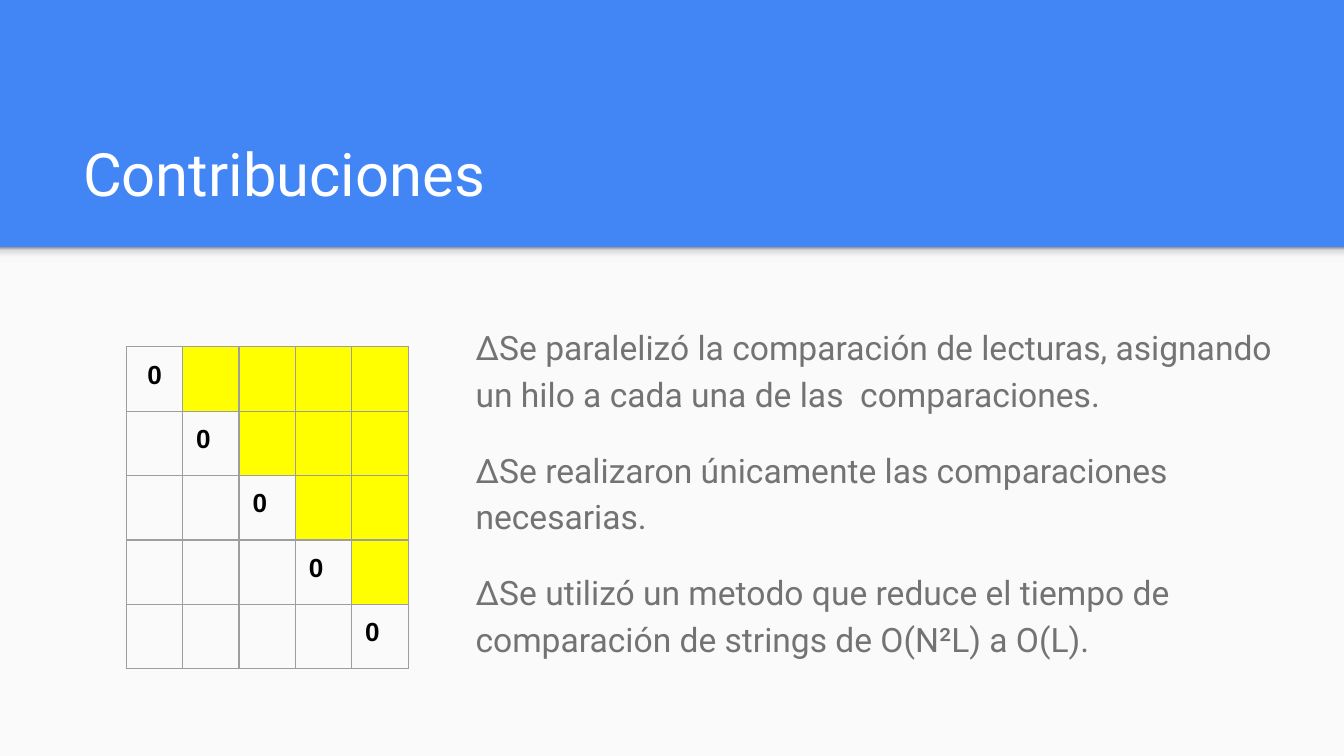
from lxml import etree
from pptx import Presentation
from pptx.dml.color import RGBColor
from pptx.enum.shapes import MSO_SHAPE
from pptx.enum.text import MSO_ANCHOR, PP_ALIGN
from pptx.oxml.ns import qn
from pptx.util import Pt

RECTANGLE = MSO_SHAPE.RECTANGLE
TOP, BOTTOM = MSO_ANCHOR.TOP, MSO_ANCHOR.BOTTOM
LEFT, CENTER = PP_ALIGN.LEFT, PP_ALIGN.CENTER

SLIDE_W, SLIDE_H = 720, 405
HEADER_H = 132.5
INSET = 7.2
MATRIX_SIZE = 5

BLUE, PAPER, WHITE = "4285F4", "FAFAFA", "FFFFFF"
GREY, BLACK, YELLOW, GRID = "737373", "000000", "FFFF00", "9E9E9E"
SHADOW_STOPS = [(0, "F9F9F9"), (36, "F9F9F9"), (80, "DEDEDE"), (100, "999999")]

CONTRIBUTIONS = [
    "∆Se paralelizó la comparación de lecturas, asignando un hilo a cada una de las  comparaciones.",
    "∆Se realizaron únicamente las comparaciones necesarias.",
    "∆Se utilizó un metodo que reduce el tiempo de comparación de strings de O(N²L) a O(L).",
]


def color(hex_value):
    return RGBColor.from_string(hex_value)


def points(box):
    return [Pt(value) for value in box]


def add_run(paragraph, text, size, font, hex_value, bold=False):
    run = paragraph.add_run()
    run.text = text
    run.font.size, run.font.name, run.font.bold = Pt(size), font, bold
    run.font.color.rgb = color(hex_value)


def set_margins(holder):
    holder.margin_left = holder.margin_right = Pt(INSET)
    holder.margin_top = holder.margin_bottom = Pt(INSET)


def add_panel(slide, box):
    panel = slide.shapes.add_shape(RECTANGLE, *points(box))
    panel.shadow.inherit = False
    panel.line.fill.background()
    panel.fill.solid()
    panel.fill.fore_color.rgb = color(PAPER)
    return panel


def add_text_frame(slide, box, anchor):
    frame = slide.shapes.add_textbox(*points(box)).text_frame
    frame.word_wrap = True
    frame.vertical_anchor = anchor
    set_margins(frame)
    return frame


def add_background(slide, box):
    left, top, width, height = box
    slide.background.fill.solid()
    slide.background.fill.fore_color.rgb = color(BLUE)
    add_panel(slide, box)

    # Shadow under the header, darkest at its top edge
    shade = add_panel(slide, (left, top, width, 8.6))
    shade.fill.gradient()
    shade.fill.gradient_angle = 90
    stops = shade.fill._xPr.find(".//" + qn("a:gsLst"))
    for stop in list(stops):
        stops.remove(stop)
    for position, hex_value in SHADOW_STOPS:
        stop = etree.SubElement(stops, qn("a:gs"), pos=str(position * 1000))
        etree.SubElement(stop, qn("a:srgbClr"), val=hex_value)


def add_title(slide, box):
    frame = add_text_frame(slide, box, BOTTOM)
    add_run(frame.paragraphs[0], "Contribuciones", 32, "Roboto", WHITE)


def add_contributions(slide, box):
    frame = add_text_frame(slide, box, TOP)
    for index, contribution in enumerate(CONTRIBUTIONS):
        paragraph = frame.add_paragraph() if index else frame.paragraphs[0]
        paragraph.line_spacing = 1.15
        paragraph.space_before = Pt(16 if index else 0)
        add_run(paragraph, contribution, 18, "Roboto", GREY)


def add_borders(cell):
    properties = cell._tc.get_or_add_tcPr()
    for side in ("lnL", "lnR", "lnT", "lnB"):
        border = etree.SubElement(properties, qn("a:" + side), w=str(Pt(0.75)))
        fill = etree.SubElement(border, qn("a:solidFill"))
        etree.SubElement(fill, qn("a:srgbClr"), val=GRID)


def add_matrix(slide, box):
    frame = slide.shapes.add_table(MATRIX_SIZE, MATRIX_SIZE, *points(box))
    matrix = frame.table
    matrix.first_row = matrix.horz_banding = False
    for column in matrix.columns:
        column.width = Pt(box[2] / MATRIX_SIZE)
    for row in matrix.rows:
        row.height = Pt(box[3] / MATRIX_SIZE)

    # Zeros on the diagonal, yellow above it
    for row in range(MATRIX_SIZE):
        for column in range(MATRIX_SIZE):
            cell = matrix.cell(row, column)
            add_borders(cell)
            if column > row:
                cell.fill.solid()
                cell.fill.fore_color.rgb = color(YELLOW)
            else:
                cell.fill.background()
            if column == row:
                set_margins(cell)
                paragraph = cell.text_frame.paragraphs[0]
                paragraph.alignment = LEFT if row else CENTER
                add_run(paragraph, "0", 14, "Arial", BLACK, bold=True)


def main():
    presentation = Presentation()
    presentation.slide_width, presentation.slide_height = Pt(SLIDE_W), Pt(SLIDE_H)
    slide = presentation.slides.add_slide(presentation.slide_layouts[6])
    add_background(slide, (0, HEADER_H, SLIDE_W, SLIDE_H - HEADER_H))
    add_title(slide, (37.4, 58.3, 647.3, 60.5))
    add_contributions(slide, (247.7, 164.9, 442.8, 198))
    add_matrix(slide, (67.7, 185.8, 151, 172.5))
    presentation.save("out.pptx")


if __name__ == "__main__":
    main()
